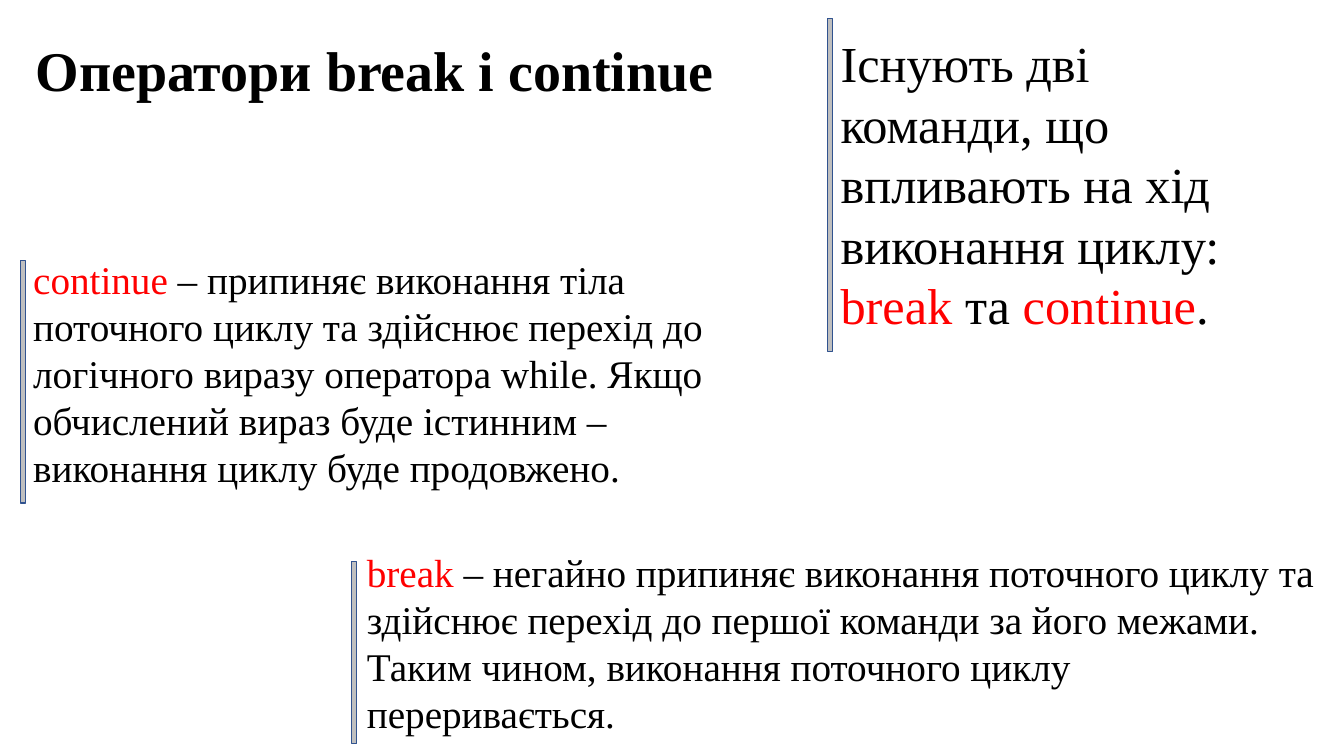
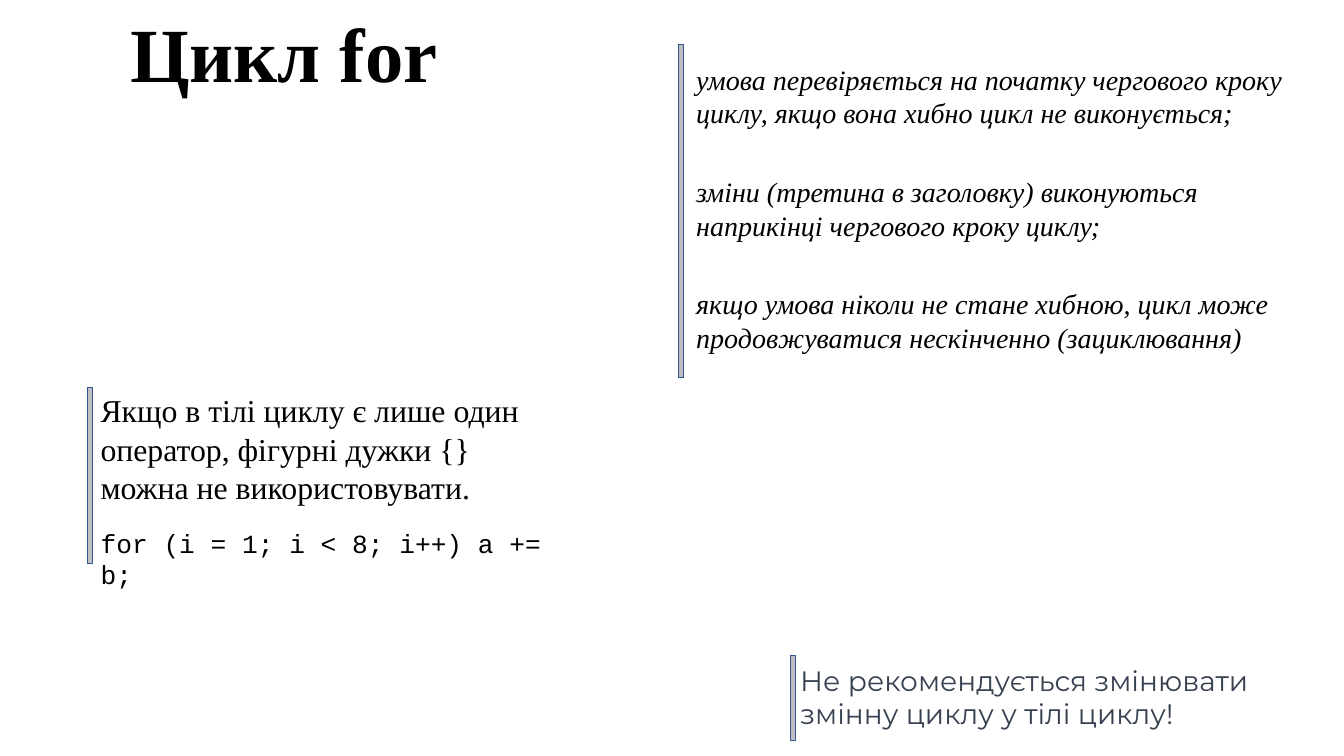
from pptx import Presentation
from pptx.dml.color import RGBColor
from pptx.enum.shapes import MSO_SHAPE as Shape
from pptx.enum.text import MSO_AUTO_SIZE as AutoSize, PP_ALIGN as Align
from pptx.util import Pt

COLORS = {
    "text": "000000",
    "keyword": "FF0000",
    "warning": "374151",
    "bar": "BFBFBF",
    "bar_line": "31538F",
}
SERIF, MONO, SANS = "Times New Roman", "Courier New", "Montserrat"
BAR_WIDTH = 3.6
INDENT = 28
TIGHT = -5.1  # letter spacing that narrows a gap in the code line


def rgb(color):
    return RGBColor.from_string(COLORS[color])


def add_run(paragraph, text, size, color="text", spacing=None, **styles):
    run = paragraph.add_run()
    run.text = text
    for name, value in {"name": SERIF, "size": Pt(size), **styles}.items():
        setattr(run.font, name, value)
    run.font.color.rgb = rgb(color)
    if spacing:
        run._r.get_or_add_rPr().set("spc", str(round(spacing * 100)))


def add_text(slide, box, paragraphs, size, inset=(7.2, 3.6), indent=0,
             gap=0, align=None, **styles):
    """Each paragraph is a list of (text, format values) pairs."""
    frame = slide.shapes.add_textbox(*map(Pt, box)).text_frame
    across, down = map(Pt, inset)
    layout = {"word_wrap": True, "auto_size": AutoSize.SHAPE_TO_FIT_TEXT,
              "margin_left": across, "margin_right": across,
              "margin_top": down, "margin_bottom": down}
    for name, value in layout.items():
        setattr(frame, name, value)
    for index, runs in enumerate(paragraphs):
        paragraph = frame.add_paragraph() if index else frame.paragraphs[0]
        if index and gap:
            paragraph.space_before = Pt(gap)
        if align is not None:
            paragraph.alignment = align
        if indent:
            properties = paragraph._p.get_or_add_pPr()
            properties.set("marL", str(Pt(indent)))
            properties.set("indent", "0")
        for text, formats in runs:
            add_run(paragraph, text, size, **{**styles, **formats})


def add_title(slide, box, text, size, **options):
    add_text(slide, box, [[(text, {})]], size, bold=True, **options)


def add_note(slide, box, bar, paragraphs, size, **options):
    """Text with a bar; bar holds its offset from the box and its height."""
    across, down, height = bar
    add_text(slide, box, paragraphs, size, **options)
    rule = slide.shapes.add_shape(
        Shape.RECTANGLE, Pt(box[0] + across), Pt(box[1] + down),
        Pt(BAR_WIDTH), Pt(height))
    rule.shadow.inherit = False
    rule.fill.solid()
    rule.fill.fore_color.rgb = rgb("bar")
    rule.line.color.rgb = rgb("bar_line")
    rule.line.width = Pt(0.75)


def plain(*texts):
    return [[(text, {})] for text in texts]


def keyword(text):
    return text, {"color": "keyword"}


def code_line(*parts):
    """Join the parts of a code line with narrow gaps."""
    runs = [(parts[0], {})]
    for part in parts[1:]:
        runs += [(" ", {"spacing": TIGHT}), (part, {})]
    return runs


def build_break_continue(slide):
    add_title(slide, (16, 16, 671, 68), "Оператори break i continue", 40,
              inset=(9.6, 9.6))
    # The two commands
    add_note(slide, (593.3, 19.5, 306, 225), (-2.2, -6.5, 238), [[
        ("Існують дві команди, що впливають на хід виконання циклу: ", {}),
        keyword("break "), ("та ", {}), keyword("continue"), (".", {}),
    ]], 36)
    # What each command does
    add_note(slide, (16.6, 178.6, 506, 177), (-2.2, 7.2, 173.5), [[
        keyword("continue"),
        (" – припиняє виконання тіла поточного циклу та здійснює перехід до "
         "логічного виразу оператора while. Якщо обчислений вираз буде "
         "істинним – виконання циклу буде продовжено.", {}),
    ]], 28)
    add_note(slide, (255, 388, 700.5, 143), (-3.6, 13, 130.3), [[
        keyword("break"),
        (" – негайно припиняє виконання поточного циклу та здійснює перехід "
         "до першої команди за його межами. Таким чином, виконання поточного "
         "циклу переривається.", {}),
    ]], 28)


def build_for_loop(slide):
    add_title(slide, (3, 0.7, 399.6, 73.4), "Цикл for", 54.7,
              align=Align.CENTER)
    # How the loop runs
    add_note(slide, (462.2, 41, 494.6, 245.5), (22.4, -9.3, 238.3), plain(
        "умова перевіряється на початку чергового кроку циклу, якщо вона "
        "хибно цикл не виконується;",
        "зміни (третина в заголовку) виконуються наприкінці чергового кроку "
        "циклу;",
        "якщо умова ніколи не стане хибною, цикл може продовжуватися "
        "нескінченно (зациклювання)",
    ), 20, indent=INDENT, gap=32, italic=True)
    # Single-statement body with its code
    add_note(slide, (36.7, 275.8, 366.5, 90), (26, 0.7, 126), plain(
        "Якщо в тілі циклу є лише один оператор, фігурні дужки {} можна не "
        "використовувати."), 22.7, indent=INDENT)
    add_text(slide, (64.8, 373, 333.4, 30), [code_line(
        "for", "(i", "=", "1; i", "<", "8; i++) a", "+=", "b;",
    )], 18.7, name=MONO)
    # Warning
    add_note(slide, (564.5, 470.2, 394.6, 55.4), (0, -2.2, 61.2), plain(
        "Не рекомендується змінювати змінну циклу у тілі циклу!"),
        20, name=SANS, color="warning")


def main():
    deck = Presentation()
    deck.slide_width, deck.slide_height = Pt(960), Pt(540)
    for build in (build_break_continue, build_for_loop):
        build(deck.slides.add_slide(deck.slide_layouts[6]))
    deck.save("out.pptx")


if __name__ == "__main__":
    main()
